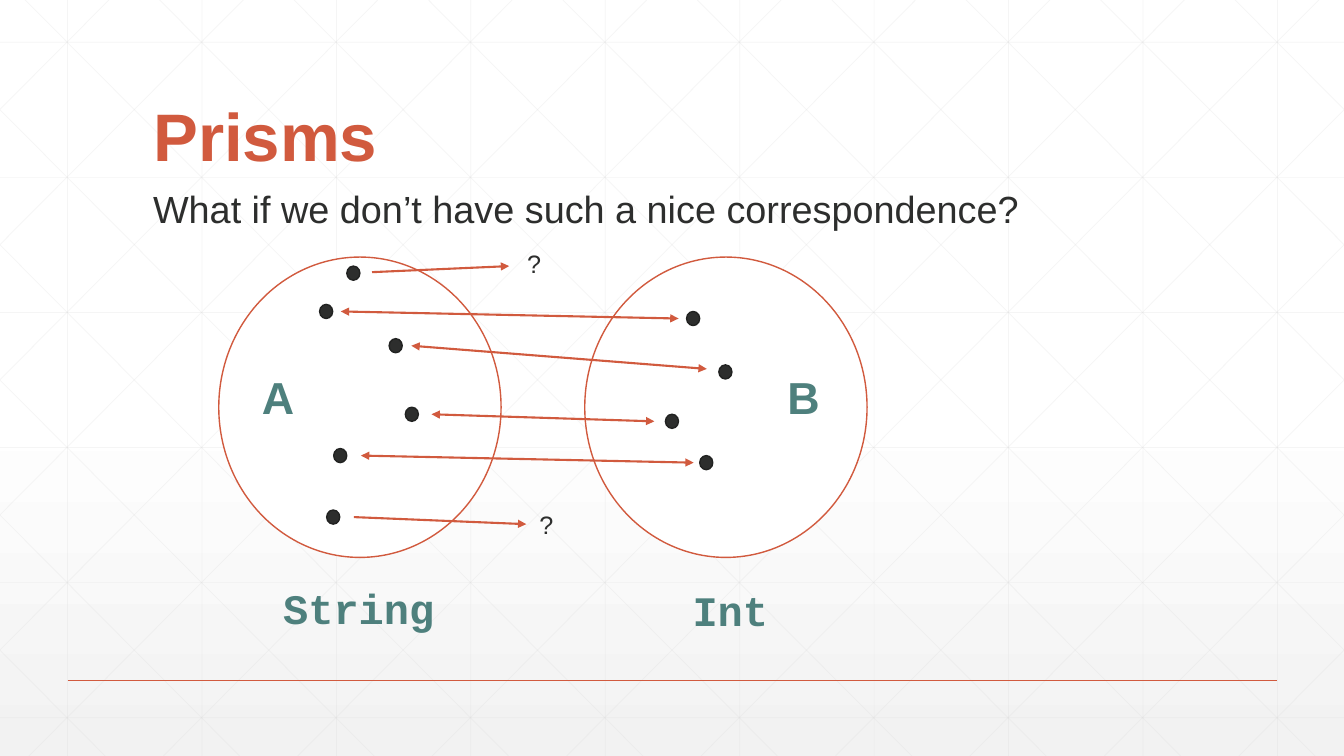
"""Build the Prisms slide: a partial correspondence between String and Int."""
from pptx import Presentation
from pptx.dml.color import RGBColor
from pptx.enum.shapes import MSO_CONNECTOR, MSO_SHAPE
from pptx.enum.text import MSO_ANCHOR
from pptx.oxml.ns import qn
from pptx.util import Inches, Pt
from lxml.etree import SubElement

W, H = 13.33, 7.5
COLORS = {k: RGBColor.from_string(v) for k, v in {
    "white": "FFFFFF", "shade": "F2F2F2", "grid": "D9D9D9", "accent": "D15A3E",
    "dark": "2D2E2D", "edge": "212221", "teal": "4E807D"}.items()}


def add_line(x1, y1, x2, y2, color="accent", width=1.0, alpha=None, ends=()):
    c = s.shapes.add_connector(MSO_CONNECTOR.STRAIGHT, *map(Inches, (x1, y1, x2, y2)))
    c.line.color.rgb = COLORS[color]
    c.line.width = Pt(width)
    ln = c.line._get_or_add_ln()
    if alpha:
        SubElement(ln.find(".//" + qn("a:srgbClr")), qn("a:alpha"), val=str(alpha * 1000))
    for end in ends:
        SubElement(ln, qn("a:" + end), type="triangle")
    SubElement(c._element.spPr, qn("a:effectLst"))


def add_oval(x, y, w, h, fill, line):
    sp = s.shapes.add_shape(MSO_SHAPE.OVAL, *map(Inches, (x, y, w, h)))
    sp.shadow.inherit = False
    sp.fill.solid()
    sp.fill.fore_color.rgb = COLORS[fill]
    sp.line.color.rgb = COLORS[line]
    sp.line.width = Pt(1)


prs = Presentation()
prs.slide_width, prs.slide_height = Inches(W), Inches(H)
s = prs.slides.add_slide(prs.slide_layouts[5])

bg = s.background.fill
bg.gradient()
bg.gradient_angle = 270
for stop, pos, color in zip(bg.gradient_stops, (0.53, 1), ("white", "shade")):
    stop.position = pos
    stop.color.rgb = COLORS[color]

step, run = 4 / 3, 7.46
grid = [(x, 0, x, H) for x in (0.67 + step * i for i in range(10))]
grid += [(0, y, W, y) for y in (0.42 + 1.34 * i for i in range(6))]
for i in range(-5, 10):
    top = 0.25 + step * i
    x1, x2 = max(0, top), min(W, top + run)
    y1, y2 = ((x - top) * H / run for x in (x1, x2))
    grid += [(x1, y1, x2, y2), (W - x1, y1, W - x2, y2)]
for ends in grid:
    add_line(*ends, color="grid", width=0.5, alpha=25)
add_line(0.67, 6.75, 12.67, 6.75)

title = s.shapes.title
s.shapes._spTree.append(title._element)
title.left, title.top, title.width, title.height = map(Inches, (1.42, 0.55, 10.5, 1.25))
title.text_frame.vertical_anchor = MSO_ANCHOR.BOTTOM

for x in (2.17, 5.8):
    add_oval(x, 2.55, 2.8, 2.98, "white", "accent")

string_dots = [(3.44, 2.64), (3.17, 3.02), (3.86, 3.36), (4.02, 4.04), (3.31, 4.45), (3.24, 5.06)]
int_dots = [(6.81, 3.09), (7.13, 3.62), (6.6, 4.11), (6.94, 4.52)]
for x, y in string_dots + int_dots:
    add_oval(x, y, 0.13, 0.14, "dark", "edge")

matched = [(3.38, 3.09, 6.73, 3.16), (4.08, 3.43, 7.01, 3.66),
           (4.28, 4.11, 6.49, 4.18), (3.58, 4.52, 6.88, 4.59)]
unmatched = [(3.69, 2.7, 5.05, 2.64), (3.51, 5.13, 5.22, 5.2)]
for arrows, ends in ((matched, ("headEnd", "tailEnd")), (unmatched, ("tailEnd",))):
    for arrow in arrows:
        add_line(*arrow, width=1.5, ends=ends)

texts = [
    ("What if we don’t have such a nice correspondence?", 1.42, 1.79, 9.14, 0.56, 27, "Arial", "dark", False),
    ("?", 5.13, 2.41, 0.35, 0.4, 18, "Arial", "dark", False),
    ("?", 5.25, 5, 0.35, 0.4, 18, "Arial", "dark", False),
    ("Int", 6.77, 5.75, 0.99, 0.61, 30, "Courier New", "teal", True),
    ("String", 2.71, 5.73, 1.73, 0.61, 30, "Courier New", "teal", True),
    ("A", 2.5, 3.62, 0.52, 0.64, 32, "Arial", "teal", True),
    ("B", 7.71, 3.62, 0.52, 0.64, 32, "Arial", "teal", True),
]
labels = [(title.text_frame, "Prisms", 48, "Arial", "accent", True)]
for text, x, y, w, h, *style in texts:
    tf = s.shapes.add_textbox(*map(Inches, (x, y, w, h))).text_frame
    tf.word_wrap = len(text) > 10
    labels.append((tf, text, *style))
for tf, text, size, font, color, bold in labels:
    p = tf.paragraphs[0]
    p.text = text
    p.font.size, p.font.name, p.font.bold = Pt(size), font, bold
    p.font.color.rgb = COLORS[color]
title.text_frame.paragraphs[0].line_spacing = 0.9
title.text_frame.paragraphs[0].alignment = 1

prs.save("out.pptx")
